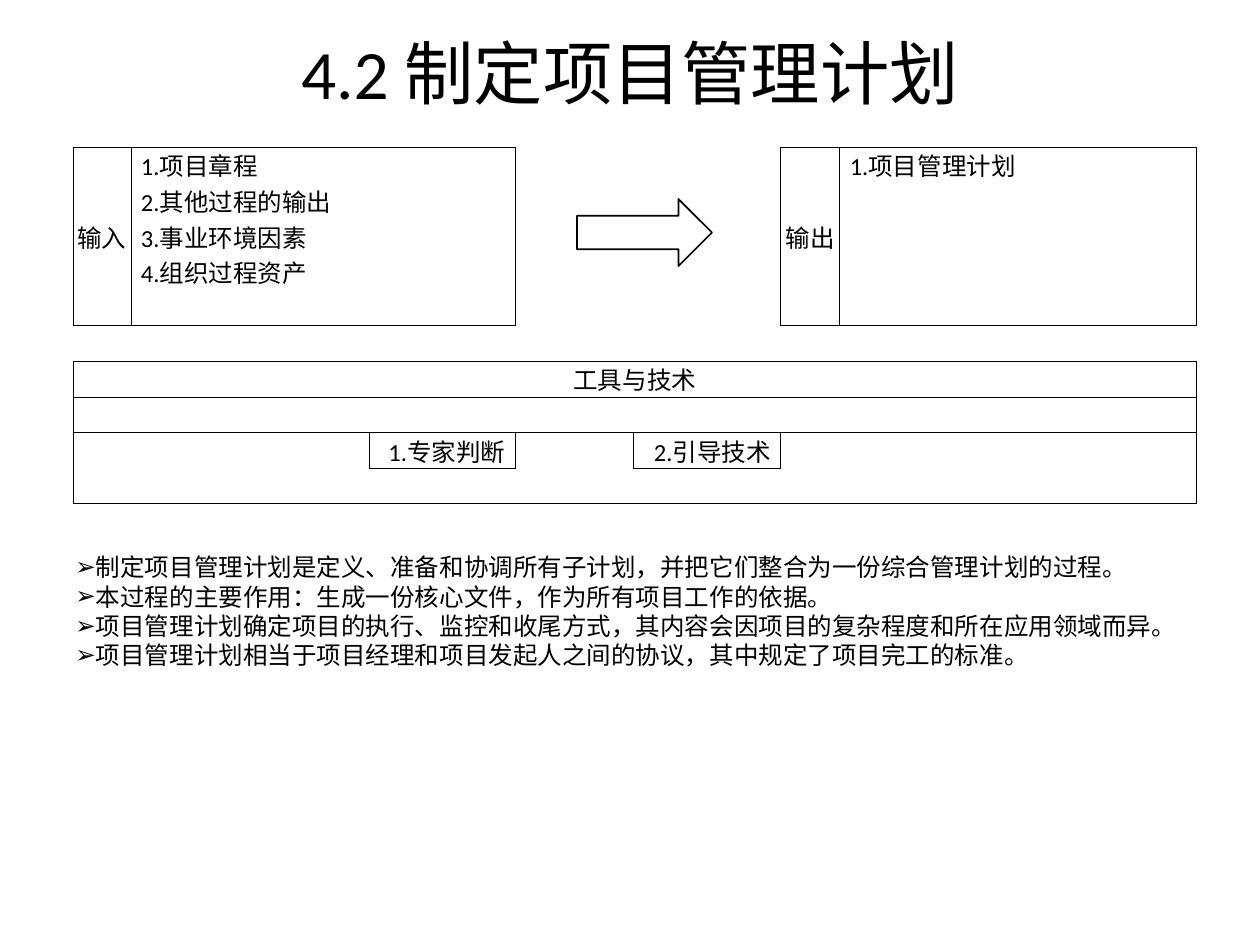
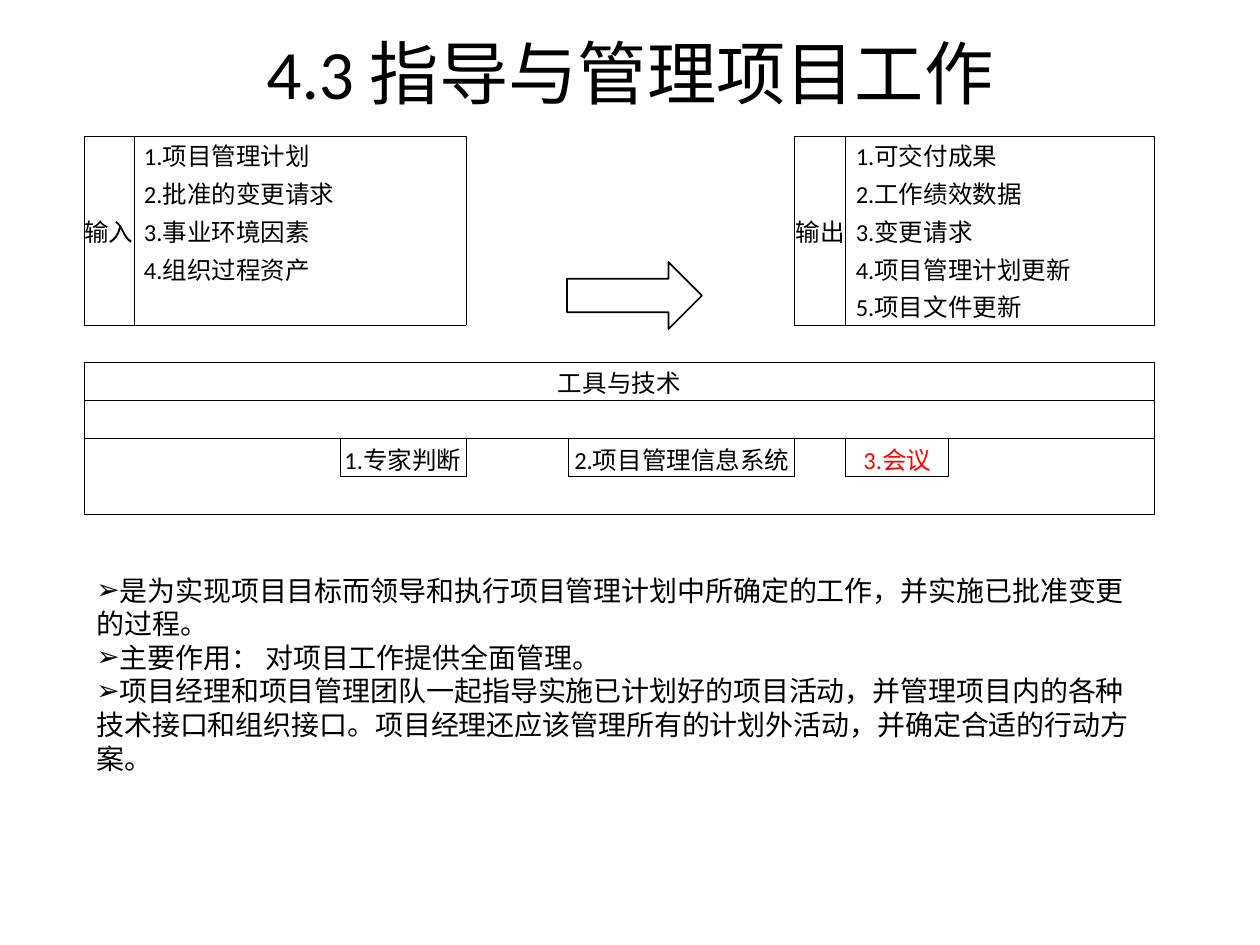
from dataclasses import dataclass

from lxml import etree
from pptx import Presentation
from pptx.dml.color import RGBColor
from pptx.enum.shapes import MSO_SHAPE
from pptx.enum.text import MSO_ANCHOR, MSO_AUTO_SIZE, PP_ALIGN
from pptx.oxml.ns import qn
from pptx.util import Emu, Pt

RIGHT_ARROW = MSO_SHAPE.RIGHT_ARROW
MIDDLE, BOTTOM = MSO_ANCHOR.MIDDLE, MSO_ANCHOR.BOTTOM
LEFT, CENTER = PP_ALIGN.LEFT, PP_ALIGN.CENTER
NO_FIT, GROW = MSO_AUTO_SIZE.NONE, MSO_AUTO_SIZE.SHAPE_TO_FIT_TEXT

PX_PER_INCH = 126
TITLE_ONLY = 5
PLAIN_TABLE = "{2D5ABB26-0587-4C30-8999-92F81FD0307C}"

# Rows and columns of the process grid
ROWS, COLS, LIST_ROWS = 10, 10, 5
INPUT_COL, OUTPUT_COL, FIRST_TOOL_COL = 0, 6, 3
HEADING_ROW, TOOL_ROW = 6, 8


def px(n):
    return Emu(round(n * 914400 / PX_PER_INCH))


@dataclass(frozen=True)
class Theme:
    font: str = "Calibri"
    ink: RGBColor = RGBColor(0, 0, 0)
    alert: RGBColor = RGBColor(255, 0, 0)
    title_size: float = 39.6
    cell_size: float = 14
    border: float = 0.5
    outline: float = 1
    item_indent: int = 10


class ProcessDeck:
    def __init__(self, theme):
        self.theme = theme
        self.prs = Presentation()
        self.prs.slide_width, self.prs.slide_height = px(1260), px(945)
        self.s = None

    def style(self, p, size, color=None, align=LEFT):
        p.alignment = align
        for r in p.runs:
            r.font.name = self.theme.font
            r.font.size = Pt(size)
            r.font.color.rgb = color or self.theme.ink

    def new_slide(self, title):
        self.s = self.prs.slides.add_slide(self.prs.slide_layouts[TITLE_ONLY])
        sp = self.s.shapes.title
        sp.left, sp.top, sp.width, sp.height = px(63), px(38), px(1134), px(67)
        tf = sp.text_frame
        tf.text = title
        tf.auto_size = NO_FIT
        tf.vertical_anchor = MIDDLE
        self.style(tf.paragraphs[0], self.theme.title_size, align=CENTER)

    def arrow(self, x, y):
        sp = self.s.shapes.add_shape(RIGHT_ARROW, px(x), px(y), px(135), px(67))
        sp.shadow.inherit = False
        sp.fill.background()
        sp.line.color.rgb = self.theme.ink
        sp.line.width = Pt(self.theme.outline)

    def bullets(self, x, y, w, h, lines, size):
        tf = self.s.shapes.add_textbox(px(x), px(y), px(w), px(h)).text_frame
        tf.word_wrap = True
        tf.auto_size = GROW
        tf.text = "\n".join(lines)
        for p in tf.paragraphs:
            self.style(p, size)
            pPr = p._p.get_or_add_pPr()
            pPr.set("marL", "0")
            pPr.set("indent", "0")
            etree.SubElement(pPr, qn("a:buFont")).set("typeface", "Arial")
            etree.SubElement(pPr, qn("a:buChar")).set("char", "➢")

    def cell_text(self, cell, text, color=None, align=CENTER, anchor=MIDDLE, indent=0):
        cell.text_frame.text = text
        cell.vertical_anchor = anchor
        cell.margin_left = px(indent)
        self.style(cell.text_frame.paragraphs[0], self.theme.cell_size, color, align)

    def cell_borders(self, cell, sides):
        tcPr = cell._tc.get_or_add_tcPr()
        for side in "LRTB":
            if side in sides:
                ln = etree.SubElement(tcPr, qn(f"a:ln{side}"), w=str(Pt(self.theme.border)))
                fill = etree.SubElement(ln, qn("a:solidFill"))
                etree.SubElement(fill, qn("a:srgbClr"), val=str(self.theme.ink))

    def box(self, table, top, left, bottom, right):
        """Draw a border round a block of cells, counting merged cells by their span."""
        for row in range(top, bottom + 1):
            for col in range(left, right + 1):
                cell = table.cell(row, col)
                sides = {
                    "L": col == left,
                    "R": col + cell.span_width - 1 == right,
                    "T": row == top,
                    "B": row + cell.span_height - 1 == bottom,
                }
                self.cell_borders(cell, [side for side, drawn in sides.items() if drawn])

    def list_block(self, table, col, label, items):
        """Fill a tall label cell and the numbered rows to its right."""
        last = LIST_ROWS - 1
        table.cell(0, col).merge(table.cell(last, col))
        self.cell_text(table.cell(0, col), label)
        for row in range(LIST_ROWS):
            table.cell(row, col + 1).merge(table.cell(row, col + 3))
        for row, item in enumerate(items):
            self.cell_text(table.cell(row, col + 1), f"{row + 1}.{item}",
                           align=LEFT, indent=self.theme.item_indent)
        self.box(table, 0, col, last, col)
        self.box(table, 0, col + 1, last, col + 3)

    def process_table(self, x, y, widths, height, inputs, outputs, tools,
                      tool_indent=0, alert_tools=()):
        table = self.s.shapes.add_table(ROWS, COLS, px(x), px(y),
                                        px(sum(widths)), px(height)).table
        table.first_row = table.horz_banding = False
        table._tbl.tblPr.find(qn("a:tableStyleId")).text = PLAIN_TABLE
        for column, w in zip(table.columns, widths):
            column.width = px(w)
        for row in table.rows:
            row.height = px(height / ROWS)
        for cell in table.iter_cells():
            cell.margin_left = cell.margin_right = 0
            cell.margin_top = cell.margin_bottom = 0
            end = cell.text_frame.paragraphs[0]._p.get_or_add_endParaRPr()
            end.set("sz", str(self.theme.cell_size * 100))

        self.list_block(table, INPUT_COL, "输入", inputs)
        self.list_block(table, OUTPUT_COL, "输出", outputs)
        table.cell(1, 4).merge(table.cell(3, 5))
        table.cell(HEADING_ROW, 0).merge(table.cell(HEADING_ROW, COLS - 1))
        self.cell_text(table.cell(HEADING_ROW, 0), "工具与技术")
        self.box(table, HEADING_ROW, 0, HEADING_ROW, COLS - 1)
        self.box(table, HEADING_ROW + 1, 0, ROWS - 1, COLS - 1)
        for i, tool in enumerate(tools):
            col = FIRST_TOOL_COL + 2 * i
            color = self.theme.alert if tool in alert_tools else None
            self.cell_text(table.cell(TOOL_ROW, col), f"{i + 1}.{tool}", color,
                           anchor=BOTTOM, indent=tool_indent)
            self.box(table, TOOL_ROW, col, TOOL_ROW, col)
        for cell in table.iter_cells():
            cell.fill.background()


def plan_slide(deck):
    deck.new_slide("4.2 制定项目管理计划")
    deck.process_table(
        73, 147, [58, 119, 119, 146, 119, 147, 59, 119, 119, 119], 355,
        inputs=["项目章程", "其他过程的输出", "事业环境因素", "组织过程资产"],
        outputs=["项目管理计划"],
        tools=["专家判断", "引导技术"],
        tool_indent=deck.theme.item_indent,
    )
    deck.arrow(577, 199)
    deck.bullets(63, 546, 1144, 131, [
        "制定项目管理计划是定义、准备和协调所有子计划，并把它们整合为一份综合管理计划的过程。",
        "本过程的主要作用：生成一份核心文件，作为所有项目工作的依据。",
        "项目管理计划确定项目的执行、监控和收尾方式，其内容会因项目的复杂程度和所在应用领域而异。",
        "项目管理计划相当于项目经理和项目发起人之间的协议，其中规定了项目完工的标准。",
    ], size=14)


def work_slide(deck):
    deck.new_slide("4.3 指导与管理项目工作")
    deck.process_table(
        84, 136, [50, 103, 103, 126, 103, 226, 51, 103, 103, 103], 378,
        inputs=["项目管理计划", "批准的变更请求", "事业环境因素", "组织过程资产"],
        outputs=["可交付成果", "工作绩效数据", "变更请求", "项目管理计划更新", "项目文件更新"],
        tools=["专家判断", "项目管理信息系统", "会议"],
        alert_tools=["会议"],
    )
    deck.arrow(567, 262)
    deck.bullets(84, 567, 1071, 217, [
        "是为实现项目目标而领导和执行项目管理计划中所确定的工作，并实施已批准变更的过程。",
        "主要作用： 对项目工作提供全面管理。",
        "项目经理和项目管理团队一起指导实施已计划好的项目活动，并管理项目内的各种技术接口和组织接口。"
        "项目经理还应该管理所有的计划外活动，并确定合适的行动方案。",
    ], size=16)


def main():
    deck = ProcessDeck(Theme())
    plan_slide(deck)
    work_slide(deck)
    deck.prs.save("out.pptx")


if __name__ == "__main__":
    main()
